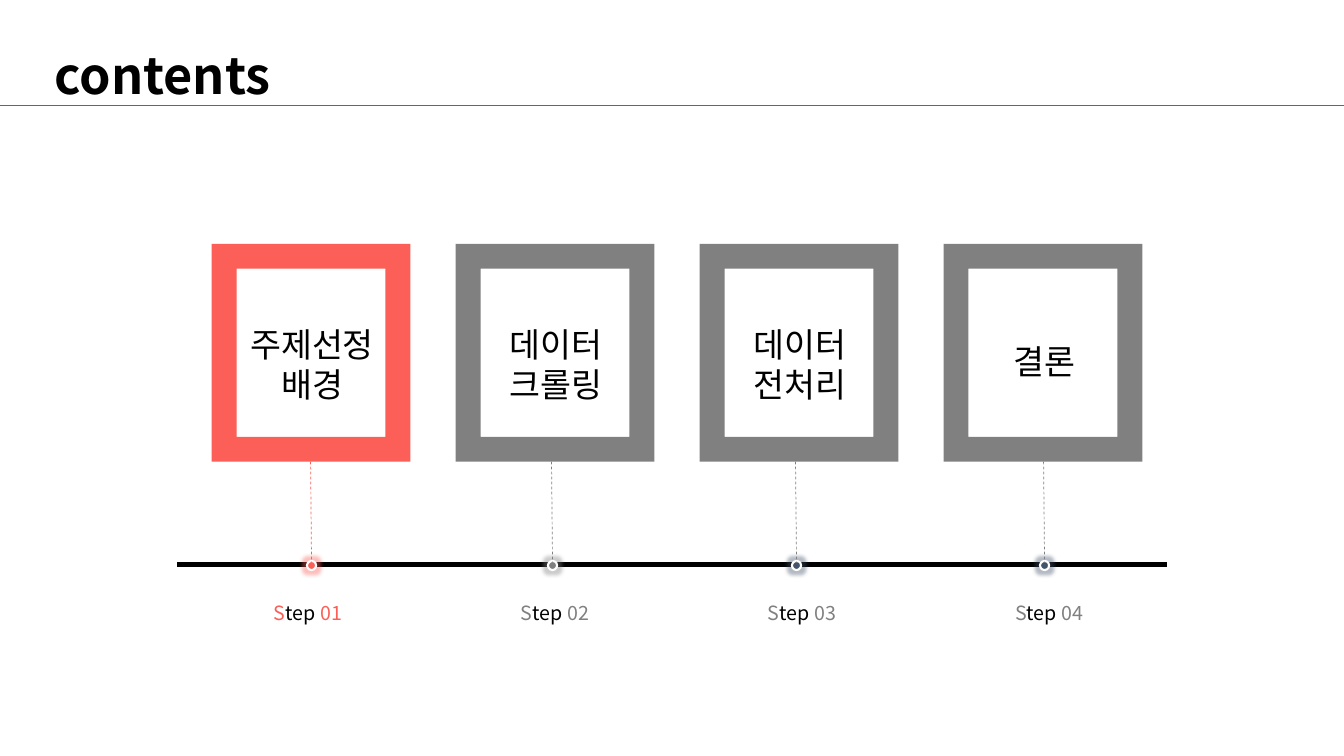
from lxml import etree
from pptx import Presentation
from pptx.dml.color import RGBColor
from pptx.enum.dml import MSO_LINE
from pptx.enum.shapes import MSO_CONNECTOR, MSO_SHAPE
from pptx.enum.text import MSO_ANCHOR, MSO_AUTO_SIZE, PP_ALIGN
from pptx.oxml.ns import qn
from pptx.util import Inches, Pt

STRAIGHT = MSO_CONNECTOR.STRAIGHT
FRAME, OVAL = MSO_SHAPE.FRAME, MSO_SHAPE.OVAL
DASH = MSO_LINE.DASH
TOP = MSO_ANCHOR.TOP
LEFT, CENTER = PP_ALIGN.LEFT, PP_ALIGN.CENTER
NO_FIT, FIT_SHAPE = MSO_AUTO_SIZE.NONE, MSO_AUTO_SIZE.SHAPE_TO_FIT_TEXT

FONT = "Noto Sans CJK KR"
BLACK, WHITE, CORAL, GRAY, NAVY = "000000", "FFFFFF", "FB5F57", "808080", "44546A"
RULE_GRAY = "666666"

# Heading lines, accent colour, dot colour, dot centre
STEPS = [
    (["주제선정", "배경"], CORAL, CORAL, 3.09),
    (["데이터", "크롤링"], GRAY, GRAY, 5.48),
    (["데이터", "전처리"], GRAY, NAVY, 7.9),
    (["결론"], GRAY, NAVY, 10.36),
]
FRAME_LEFT, FRAME_PITCH = 2.1, 2.42
LABEL_LEFT, LABEL_PITCH = 2.46, 2.45
AXIS_Y = 5.6
DOT_SIZE = 0.09


def color(value):
    return RGBColor.from_string(value)


def set_font(paragraph, size, value=None, bold=False):
    font = paragraph.font
    font.name, font.size, font.bold = FONT, Pt(size), bold
    if value:
        font.color.rgb = color(value)
    properties = paragraph._p.pPr.find(qn("a:defRPr"))
    properties.find(qn("a:latin")).addnext(
        etree.Element(qn("a:ea"), typeface=FONT))


def add_line(slide, start, end, value, width, dash=None):
    line = slide.shapes.add_connector(
        STRAIGHT, *(Inches(length) for length in (*start, *end)))
    line.line.color.rgb = color(value)
    line.line.width = Pt(width)
    if dash:
        line.line.dash_style = dash
    etree.SubElement(line._element.spPr, qn("a:effectLst"))


def add_shape(slide, kind, box, fill):
    shape = slide.shapes.add_shape(kind, *(Inches(length) for length in box))
    shape.shadow.inherit = False
    shape.fill.solid()
    shape.fill.fore_color.rgb = color(fill)
    shape.line.fill.background()
    return shape


def add_text_frame(slide, box):
    text_box = slide.shapes.add_textbox(*(Inches(length) for length in box))
    text_frame = text_box.text_frame
    text_frame.word_wrap = True
    text_frame.auto_size = FIT_SHAPE
    return text_frame


def add_glow(shape, value):
    effects = shape._element.spPr.find(qn("a:effectLst"))
    glow = etree.SubElement(effects, qn("a:glow"), rad=str(Inches(0.07)))
    tint = etree.SubElement(glow, qn("a:srgbClr"), val=value)
    etree.SubElement(tint, qn("a:alpha"), val="40000")


def add_header(slide, left, top, width, height):
    title = slide.shapes.title
    title.left, title.top = Inches(left), Inches(top)
    title.width, title.height = Inches(width), Inches(height)
    text_frame = title.text_frame
    text_frame.text = "contents"
    text_frame.word_wrap = False
    text_frame.auto_size = NO_FIT
    text_frame.vertical_anchor = TOP
    paragraph = text_frame.paragraphs[0]
    paragraph.alignment = LEFT
    paragraph.line_spacing = 1.0
    set_font(paragraph, 36, BLACK, bold=True)
    add_line(slide, (0, 1.05), (13.33, 1.05), RULE_GRAY, 0.5)


def add_card(slide, left, top, width, height, lines, accent):
    add_shape(slide, FRAME, (left, top, width, height), accent)
    text_top, text_height = (0.91, 0.5) if len(lines) == 1 else (0.74, 0.91)
    text_frame = add_text_frame(
        slide, (left + 0.24, top + text_top, 1.51, text_height))
    for index, line in enumerate(lines):
        paragraph = text_frame.add_paragraph() if index else text_frame.paragraphs[0]
        paragraph.text = line
        paragraph.alignment = CENTER
        set_font(paragraph, 24, BLACK)


def add_dot(slide, center, middle, fill):
    dot = add_shape(slide, OVAL, (center - DOT_SIZE / 2, middle + 0.01 - DOT_SIZE / 2,
                                  DOT_SIZE, DOT_SIZE), fill)
    dot.line.color.rgb = color(WHITE)
    dot.line.width = Pt(1.5)
    add_glow(dot, fill)


def add_step_label(slide, left, top, width, height, number, accent):
    paragraph = add_text_frame(slide, (left, top, width, height)).paragraphs[0]
    paragraph.alignment = CENTER
    set_font(paragraph, 14)
    for text, value in (("S", accent), ("tep ", BLACK), (f"{number:02d}", accent)):
        run = paragraph.add_run()
        run.text = text
        run.font.color.rgb = color(value)


def add_timeline(slide):
    add_line(slide, (1.76, AXIS_Y), (11.57, AXIS_Y), BLACK, 3)
    for index, (lines, accent, dot_fill, center) in enumerate(STEPS):
        add_dot(slide, center, AXIS_Y, dot_fill)
        add_step_label(slide, LABEL_LEFT + index * LABEL_PITCH, 5.91, 1.19, 0.34,
                       index + 1, accent)
        add_line(slide, (center - 0.01, 4.53), (center, 5.58), accent, 0.5, DASH)
        add_card(slide, FRAME_LEFT + index * FRAME_PITCH, 2.42, 1.97, 2.16,
                 lines, accent)


def main():
    presentation = Presentation()
    presentation.slide_width = Inches(13.33)
    presentation.slide_height = Inches(7.5)
    slide = presentation.slides.add_slide(presentation.slide_layouts[5])
    add_header(slide, 0.44, 0.39, 2.53, 0.71)
    add_timeline(slide)
    presentation.save("out.pptx")


if __name__ == "__main__":
    main()
